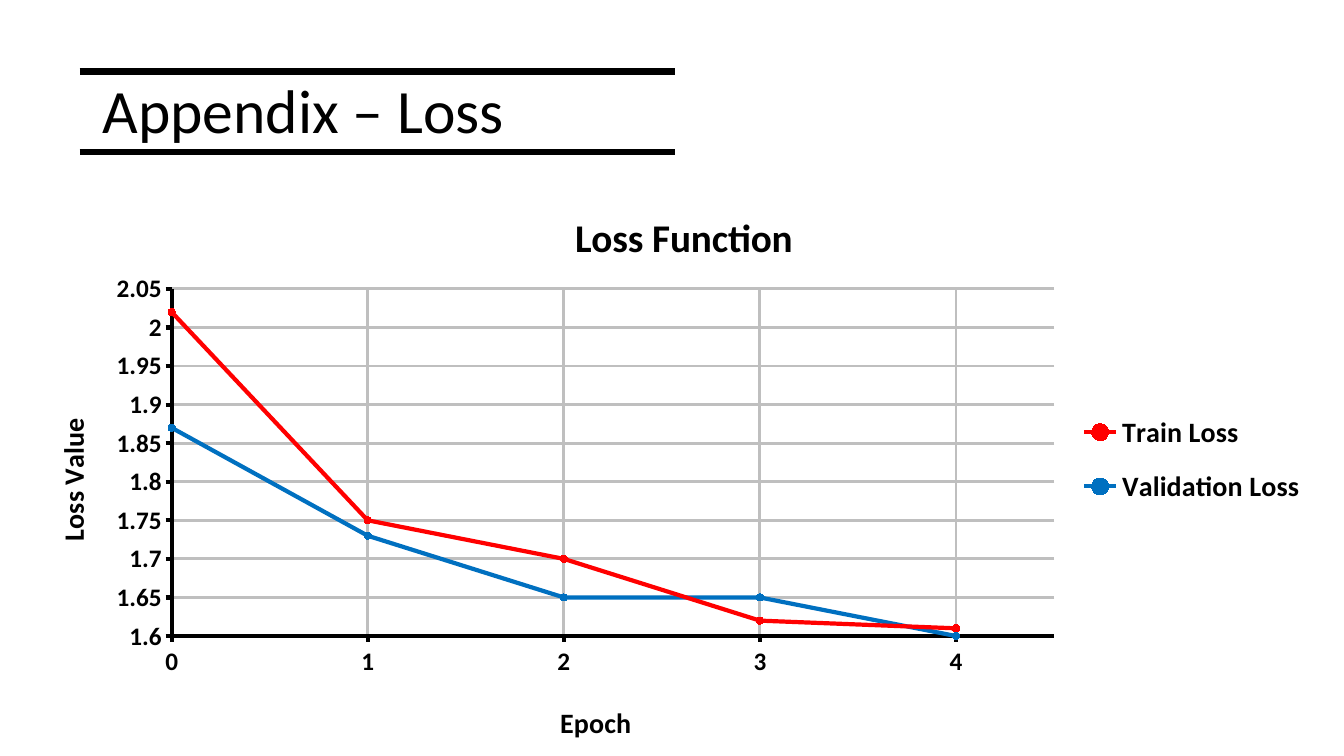
from lxml import etree
from pptx import Presentation
from pptx.chart.data import XyChartData
from pptx.dml.color import RGBColor
from pptx.enum.chart import XL_CHART_TYPE, XL_LEGEND_POSITION, XL_MARKER_STYLE, XL_TICK_MARK
from pptx.enum.shapes import MSO_CONNECTOR
from pptx.enum.text import MSO_ANCHOR
from pptx.oxml.ns import qn
from pptx.util import Inches, Pt

SCATTER = XL_CHART_TYPE.XY_SCATTER_LINES
LEGEND_RIGHT = XL_LEGEND_POSITION.RIGHT
CIRCLE = XL_MARKER_STYLE.CIRCLE
TICK_OUT = XL_TICK_MARK.OUTSIDE
TICK_NONE = XL_TICK_MARK.NONE
STRAIGHT = MSO_CONNECTOR.STRAIGHT
MIDDLE = MSO_ANCHOR.MIDDLE

COLORS = {"ink": "000000", "grid": "BFBFBF", "train": "FF0000", "validation": "0070C0"}
FONT = "Calibri"
EPOCHS = range(5)
LOSSES = [
    ("Train Loss", "train", [2.02, 1.75, 1.7, 1.62, 1.61]),
    ("Validation Loss", "validation", [1.87, 1.73, 1.65, 1.65, 1.6]),
]


def rgb(name):
    return RGBColor.from_string(COLORS[name])


def set_font(font, size, bold=False):
    for key, value in {"name": FONT, "size": Pt(size), "bold": bold}.items():
        setattr(font, key, value)
    font.color.rgb = rgb("ink")


def set_line(line, color, width):
    line.color.rgb = rgb(color)
    line.width = Pt(width)


def set_layout(element, index, **places):
    for old in element.findall(qn("c:layout")):
        element.remove(old)
    layout = etree.Element(qn("c:layout"))
    element.insert(index, layout)
    manual = etree.SubElement(layout, qn("c:manualLayout"))
    if element.tag == qn("c:plotArea"):
        etree.SubElement(manual, qn("c:layoutTarget")).set("val", "inner")
    for key in ("x", "y"):
        etree.SubElement(manual, qn(f"c:{key}Mode")).set("val", "edge")
    for key, value in places.items():
        etree.SubElement(manual, qn(f"c:{key}")).set("val", str(value))


def add_heading(s, left, top, width, height):
    for y in (0.31, 1.11):
        line = s.shapes.add_connector(
            STRAIGHT, Inches(left - 0.13), Inches(top + y),
            Inches(left + 5.77), Inches(top + y))
        set_line(line.line, "ink", 4.5)
        etree.SubElement(line._element.spPr, qn("a:effectLst"))
    box = s.shapes.add_textbox(Inches(left), Inches(top), Inches(width), Inches(height))
    tf = box.text_frame
    tf.word_wrap = True
    tf.vertical_anchor = MIDDLE
    p = tf.paragraphs[0]
    p.line_spacing = 0.9
    r = p.add_run()
    r.text = "Appendix – Loss"
    set_font(r.font, 44)


def set_title(title, text, size, x, y):
    p = title.text_frame.paragraphs[0]
    r = p.add_run()
    r.text = text
    set_font(r.font, size, True)
    set_layout(title._element, 1, x=x, y=y)


def style_axis(axis, low, high, step):
    limits = {"minimum_scale": low, "maximum_scale": high, "major_unit": step,
              "has_major_gridlines": True, "major_tick_mark": TICK_OUT,
              "minor_tick_mark": TICK_NONE}
    for key, value in limits.items():
        setattr(axis, key, value)
    set_line(axis.format.line, "ink", 3)
    set_line(axis.major_gridlines.format.line, "grid", 2)
    set_font(axis.tick_labels.font, 18, True)
    axis.tick_labels.number_format = "General"
    axis.tick_labels.number_format_is_linked = False


def add_loss_chart(s, left, top, width, height):
    data = XyChartData()
    for name, _, losses in LOSSES:
        series = data.add_series(name)
        for epoch, loss in zip(EPOCHS, losses):
            series.add_data_point(epoch, loss)
    chart = s.shapes.add_chart(SCATTER, Inches(left), Inches(top),
                               Inches(width), Inches(height), data).chart
    set_font(chart.font, 14)
    plot = chart.plots[0]
    plot.vary_by_categories = False
    for series, (_, color, _) in zip(plot.series, LOSSES):
        series.smooth = False
        set_line(series.format.line, color, 3)
        marker = series.marker
        marker.style = CIRCLE
        marker.size = 5
        marker.format.fill.solid()
        marker.format.fill.fore_color.rgb = rgb(color)
        set_line(marker.format.line, color, 0.75)

    style_axis(chart.category_axis, 0, 4.5, 1)
    style_axis(chart.value_axis, 1.6, 2.05, 0.05)
    chart.has_title = True
    set_title(chart.chart_title, "Loss Function", 28, 0.42, 0.05)
    set_title(chart.category_axis.axis_title, "Epoch", 20, 0.41, 0.9)
    loss_title = chart.value_axis.axis_title
    set_title(loss_title, "Loss Value", 20, 0.02, 0.41)
    body = loss_title.text_frame._txBody.bodyPr
    body.set("rot", "-5400000")
    body.set("vert", "horz")

    chart.has_legend = True
    legend = chart.legend
    legend.position = LEGEND_RIGHT
    legend.include_in_layout = False
    set_font(legend.font, 20, True)
    set_layout(legend._element, 1, x=0.81, y=0.38, w=0.18, h=0.22)
    area = chart._chartSpace.find(".//" + qn("c:plotArea"))
    set_layout(area, 0, x=0.115, y=0.197, w=0.679, h=0.597)


def main():
    prs = Presentation()
    prs.slide_width = Inches(13.33)
    prs.slide_height = Inches(7.5)
    s = prs.slides.add_slide(prs.slide_layouts[6])
    add_heading(s, 0.92, 0.4, 11.5, 1.45)
    add_loss_chart(s, 0.22, 1.73, 12.89, 5.77)
    prs.save("out.pptx")


if __name__ == "__main__":
    main()
